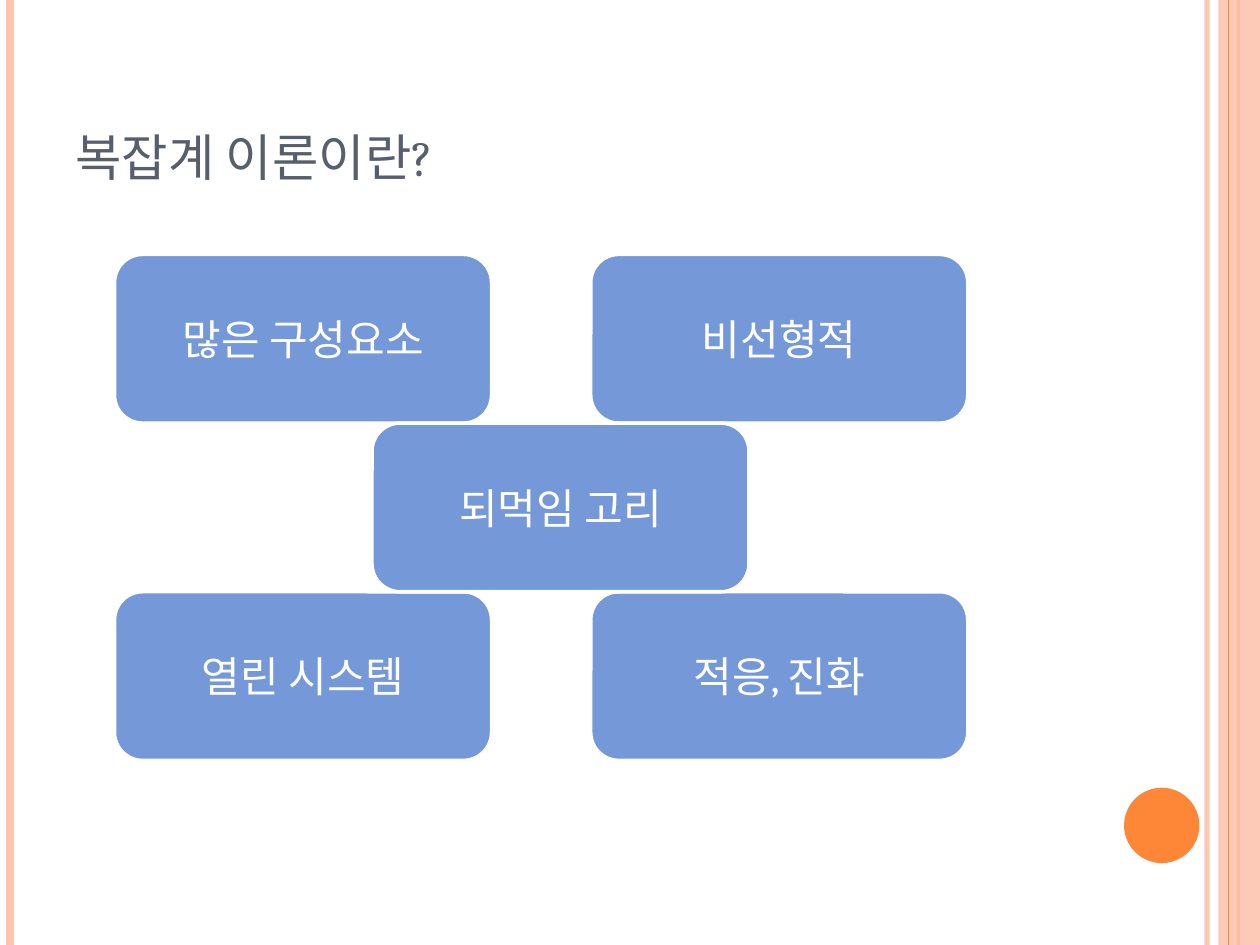
from lxml import etree
from pptx import Presentation
from pptx.dml.color import RGBColor
from pptx.enum.shapes import MSO_CONNECTOR as CONN, MSO_SHAPE as SHAPE
from pptx.enum.text import MSO_ANCHOR as ANCHOR, MSO_AUTO_SIZE as AUTO, PP_ALIGN as ALIGN
from pptx.oxml.ns import qn
from pptx.util import Cm, Pt

WIDTH, HEIGHT = 25.4, 19.05
ORANGE, PEACH, BLUE, SLATE, WHITE = "FE8637", "FEC3AE", "7598D9", "575F6D", "FFFFFF"


def rgb(code):
    return RGBColor.from_string(code)


def set_alpha(fill_parent, percent):
    """Make the solid colour below an element partly transparent."""
    color = fill_parent.find(qn("a:solidFill")).find(qn("a:srgbClr"))
    etree.SubElement(color, qn("a:alpha")).set("val", str(percent * 1000))


def write(tf, text, size, color, font="Cambria", align=ALIGN.LEFT,
          anchor=ANCHOR.MIDDLE, small_caps=False):
    tf.word_wrap = True
    tf.auto_size = AUTO.NONE
    tf.vertical_anchor = anchor
    p = tf.paragraphs[0]
    p.alignment = align
    r = p.add_run()
    r.text = text
    r.font.name, r.font.size = font, Pt(size)
    r.font.color.rgb = rgb(color)
    if small_caps:
        r._r.get_or_add_rPr().set("cap", "small")


class SlideBuilder:
    def __init__(self, prs):
        self.s = prs.slides.add_slide(prs.slide_layouts[5])

    def title(self, text, x, y, w, h):
        sp = self.s.shapes.title
        sp.left, sp.top, sp.width, sp.height = Cm(x), Cm(y), Cm(w), Cm(h)
        write(sp.text_frame, text, 36, SLATE, anchor=ANCHOR.BOTTOM, small_caps=True)

    def vertical_line(self, x, color, width, alpha=None):
        ln = self.s.shapes.add_connector(CONN.STRAIGHT, Cm(x), 0, Cm(x), Cm(HEIGHT))
        ln.line.color.rgb = rgb(color)
        ln.line.width = Pt(width)
        if alpha:
            set_alpha(ln.line._get_or_add_ln(), alpha)
        etree.SubElement(ln._element.spPr, qn("a:effectLst"))

    def shape(self, kind, x, y, w, h, fill, line=None, alpha=None):
        sp = self.s.shapes.add_shape(kind, Cm(x), Cm(y), Cm(w), Cm(h))
        sp.shadow.inherit = False
        sp.fill.solid()
        sp.fill.fore_color.rgb = rgb(fill)
        if alpha:
            set_alpha(sp._element.spPr, alpha)
        if line:
            sp.line.color.rgb = rgb(line)
            sp.line.width = Pt(2)
        else:
            sp.line.fill.background()
        return sp

    def box(self, text, x, y, w, h):
        sp = self.shape(SHAPE.ROUNDED_RECTANGLE, x, y, w, h, BLUE, line=WHITE)
        write(sp.text_frame, text, 24, WHITE, align=ALIGN.CENTER)


def main():
    prs = Presentation()
    prs.slide_width, prs.slide_height = Cm(WIDTH), Cm(HEIGHT)
    b = SlideBuilder(prs)

    # Side stripes and corner circle
    b.vertical_line(24.33, PEACH, 3, alpha=93)
    b.vertical_line(0.2, PEACH, 4.5)
    b.vertical_line(24.97, ORANGE, 1.5)
    b.shape(SHAPE.RECTANGLE, 24.56, 0, 0.84, HEIGHT, PEACH, alpha=87)
    b.vertical_line(24.77, ORANGE, 0.75)
    b.shape(SHAPE.OVAL, 22.66, 15.88, 1.52, 1.52, ORANGE)

    # Title
    b.title("복잡계 이론이란?", 1.27, 0.76, 20.75, 3.18)

    # Four corner boxes around a central one
    box_w, box_h, top = 7.6, 3.4, 5.13
    left, middle, right = 2.31, 7.5, 11.91
    boxes = [
        ("많은 구성요소", left, 0),
        ("비선형적", right, 0),
        ("열린 시스템", left, 2),
        ("적응, 진화", right, 2),
        ("되먹임 고리", middle, 1),
    ]
    for text, x, row in boxes:
        b.box(text, x, top + row * box_h, box_w, box_h)

    prs.save("out.pptx")


if __name__ == "__main__":
    main()
